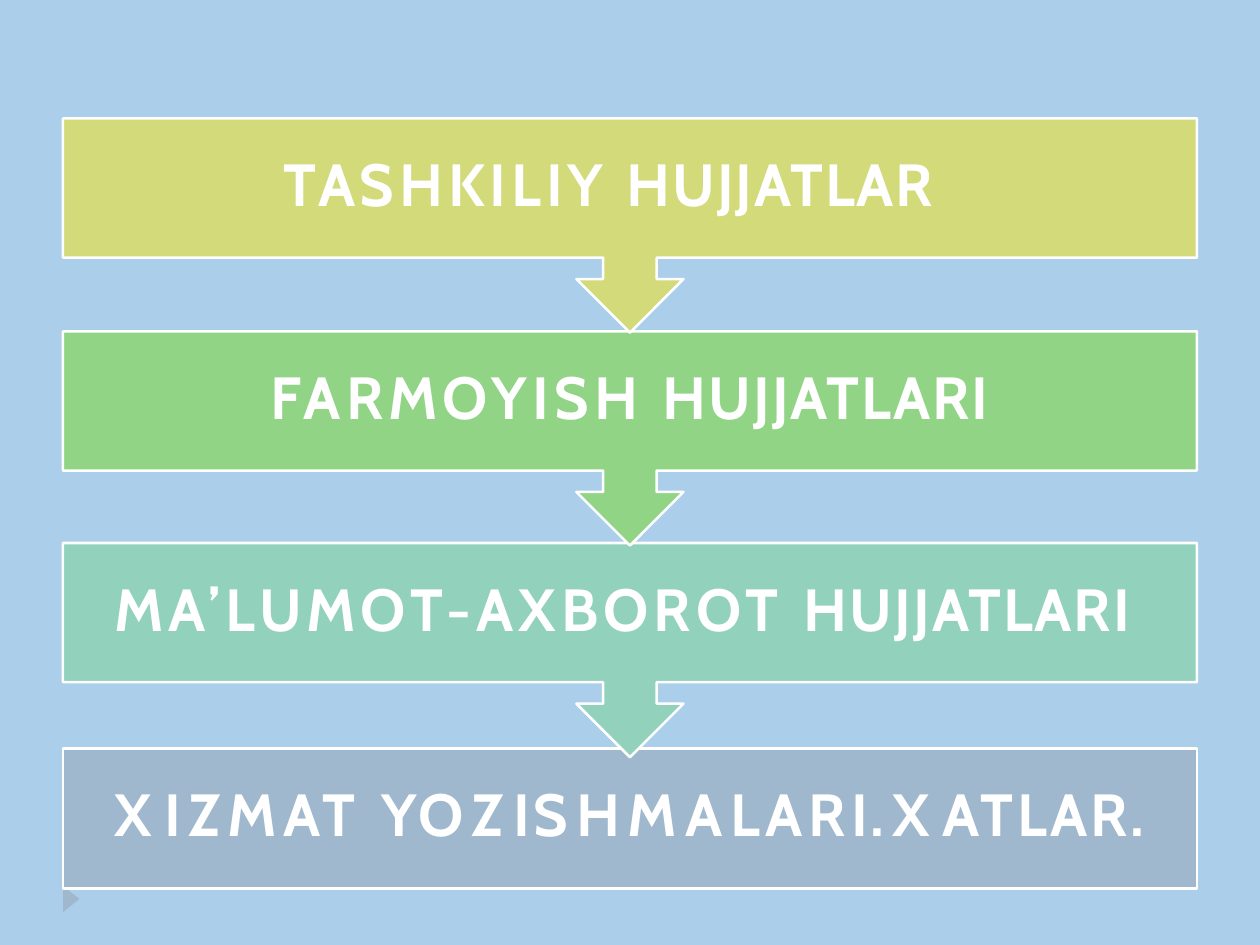
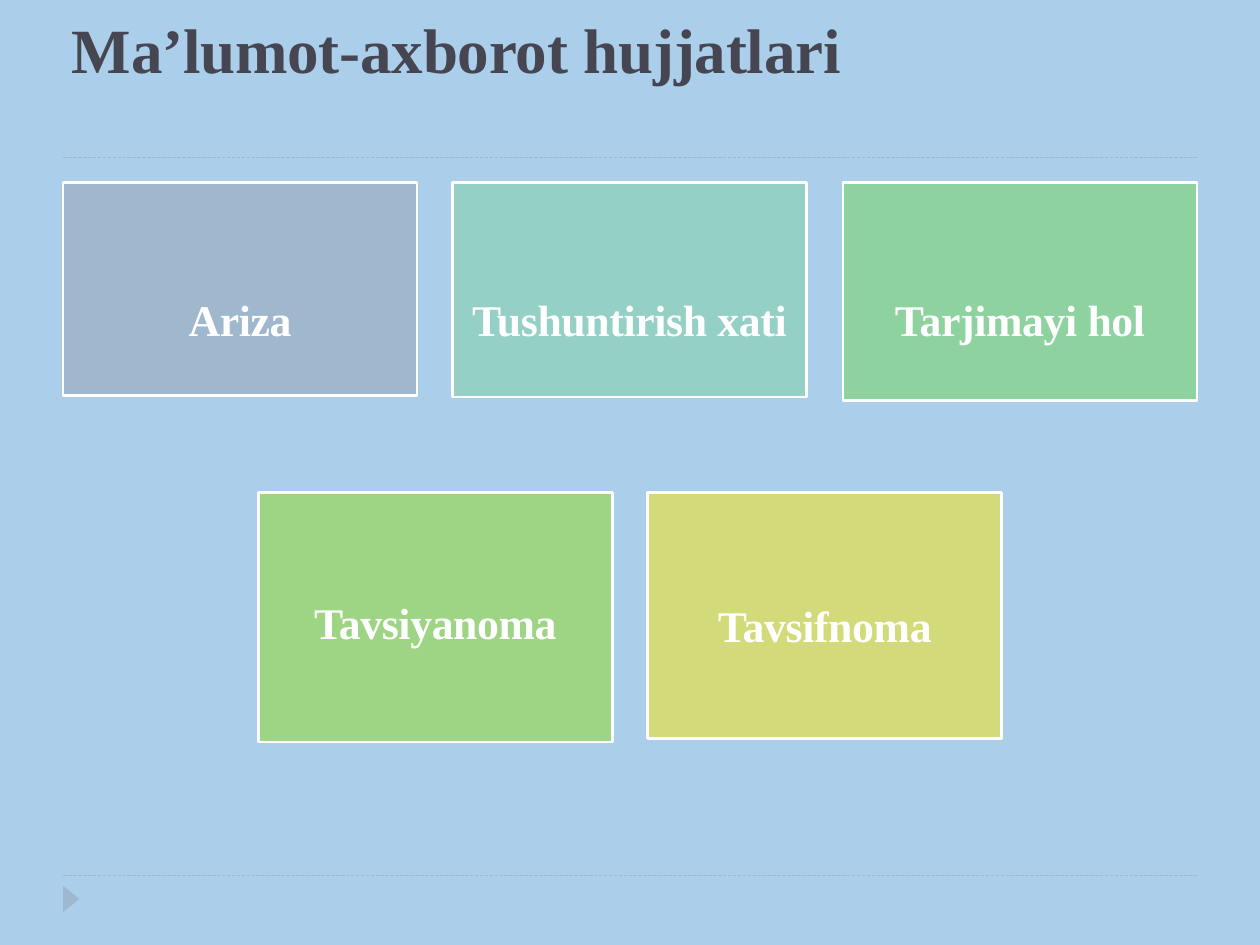
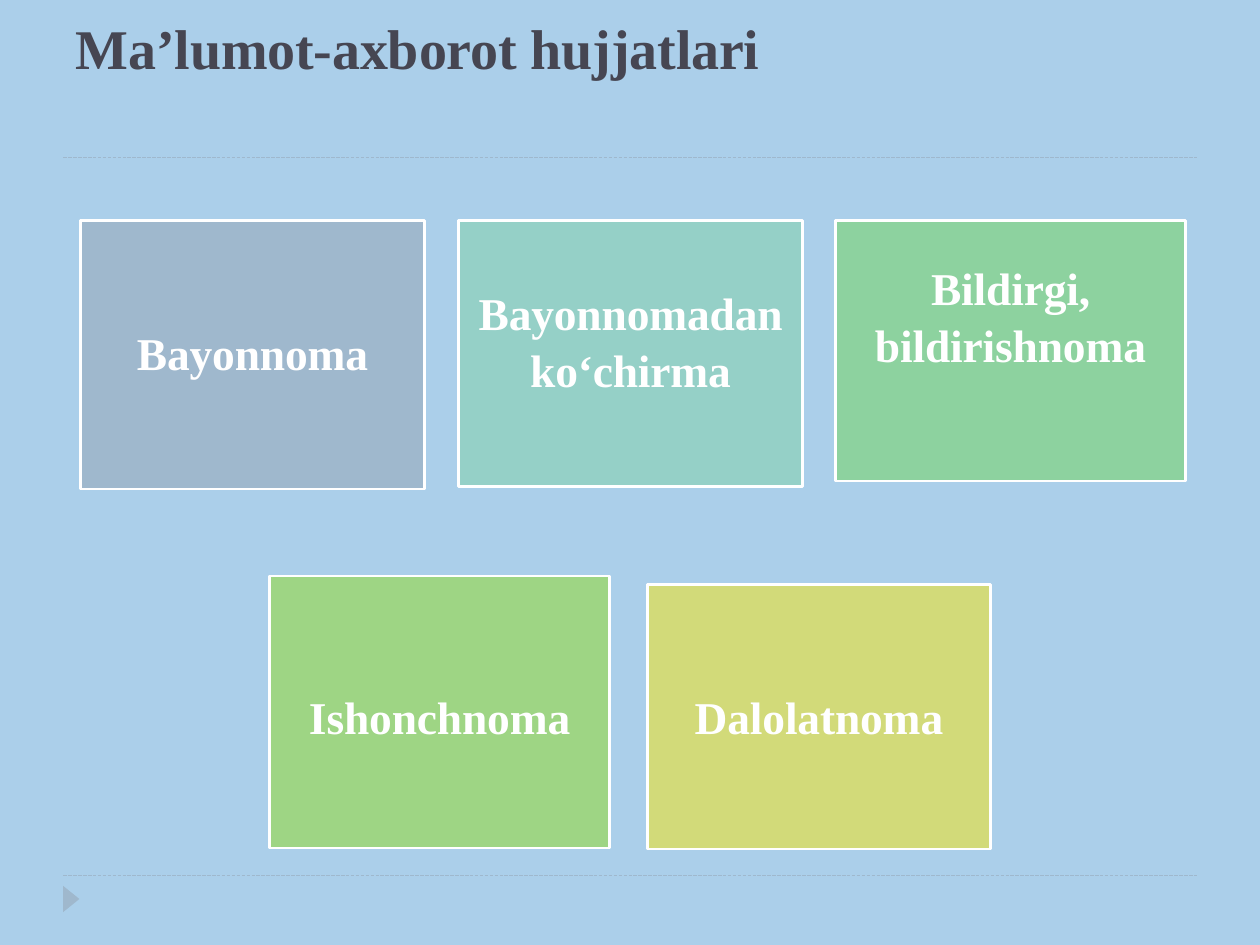
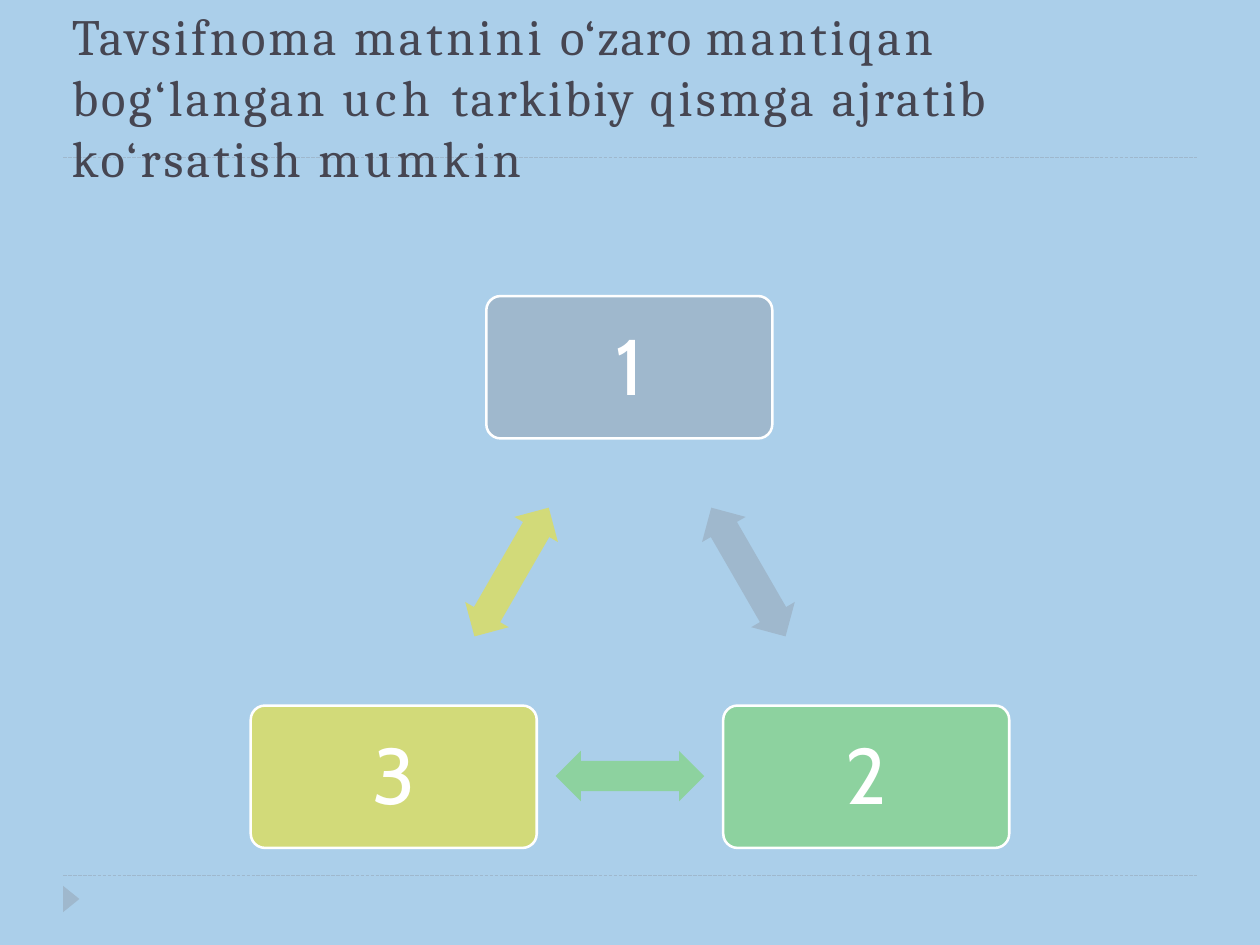
from lxml import etree
from pptx import Presentation
from pptx.dml.color import RGBColor
from pptx.enum.dml import MSO_LINE_DASH_STYLE as Dash
from pptx.enum.shapes import MSO_CONNECTOR_TYPE as Connector, MSO_SHAPE as Shape
from pptx.enum.text import MSO_ANCHOR as Anchor, PP_ALIGN as Align
from pptx.oxml.ns import qn
from pptx.util import Inches, Pt

SKY, INK, WHITE = "ABCFEA", "464652", "FFFFFF"
STEEL, TEAL, MINT, GREEN, LIME = "9FB8CD", "95D0C7", "8DD29F", "9ED584", "D2DA79"
SERIF, SANS, TITLE_SERIF = "Times New Roman", "Cabin", "Cambria"


def add_block(page, kind, at, fill, outlined=True, adjust=()):
    """Add a flat filled shape at (left, top, width, height) in inches."""
    block = page.shapes.add_shape(kind, *[Inches(n) for n in at])
    block.shadow.inherit = False
    block.fill.solid()
    block.fill.fore_color.rgb = RGBColor.from_string(fill)
    if outlined:
        block.line.color.rgb = RGBColor.from_string(WHITE)
        block.line.width = Pt(1.44)
    else:
        block.line.fill.background()
    for number, value in enumerate(adjust):
        block.adjustments[number] = value
    return block


def write(box, runs, font, size, color=WHITE, bold=True, align=Align.CENTER,
          top=0.02, right=0, leading=None):
    """Write (text, letter spacing in points) runs as one top-anchored paragraph."""
    frame = box.text_frame
    frame.word_wrap = True
    frame.vertical_anchor = Anchor.TOP
    frame.margin_left = frame.margin_bottom = 0
    frame.margin_top, frame.margin_right = Inches(top), Inches(right)
    para = frame.paragraphs[0]
    para.alignment = align
    para.line_spacing = leading
    for text, spacing in runs:
        span = para.add_run()
        span.text = text
        span.font.name, span.font.size, span.font.bold = font, Pt(size), bold
        span.font.color.rgb = RGBColor.from_string(color)
        span._r.get_or_add_rPr().set("spc", str(round(spacing * 100)))


deck = Presentation()
deck.slide_width, deck.slide_height = Inches(10), Inches(7.5)
backdrop = deck.slide_master.background.fill
backdrop.solid()
backdrop.fore_color.rgb = RGBColor.from_string(SKY)

# Shared on every slide: two dashed rules and the corner marker
pages = [deck.slides.add_slide(deck.slide_layouts[6]) for _ in range(4)]
for page in pages:
    for y in (6.95, 1.25):
        rule = page.shapes.add_connector(
            Connector.STRAIGHT, Inches(0.5), Inches(y), Inches(9.5), Inches(y))
        rule.line.color.rgb = RGBColor.from_string(STEEL)
        rule.line.width = Pt(0.72)
        rule.line.dash_style = Dash.SQUARE_DOT
        etree.SubElement(rule._element.spPr, qn("a:effectLst"))
    marker = add_block(page, Shape.ISOSCELES_TRIANGLE, (0.46, 7.07, 0.21, 0.13),
                       STEEL, outlined=False)
    marker.rotation = 90
flow_page, first_grid, second_grid, cycle_page = pages

# Titles: page, place, font, size, bold, runs
heading = [("Ma’lumot-axborot hujjatlari", -0.1)]
cycle_heading = [
    ("Tavsifnoma ", 1.7), ("matnini ", 2), ("o‘zaro ", 0.9), ("mantiqan ", 2.1),
    ("bog‘langan ", 1.7), ("uch ", 3), ("tarkibiy ", 1.4), ("qismga ", 1.9),
    ("ajratib ", 1.6), ("ko‘rsatish ", 1.7), ("mumkin", 2.7)]
titles = [
    (first_grid, (0.57, 0.06, 8.31, 0.62), SERIF, 36, True, heading),
    (second_grid, (0.6, 0.09, 8.31, 0.55), SERIF, 32, True, heading),
    (cycle_page, (0.57, 0.02, 7.62, 1.48), TITLE_SERIF, 29, False, cycle_heading)]
for page, place, font, size, bold, runs in titles:
    title = page.shapes.add_textbox(*[Inches(n) for n in place])
    write(title, runs, font, size, INK, bold, Align.LEFT)

# Slide 1: four bands, each arrow lying over the band below it
bands = [
    (0.94, LIME, 0.34, [("TASHKILIY ", 2.8), ("HUJJATLAR", 1.1)]),
    (2.63, "91D486", 0, [("FARMOYISH ", 3), ("HUJJATLARI", 1.2)]),
    (4.31, "92D1BB", 0.12, [("MA’LUMOT-AXBOROT ", 3), ("HUJJATLARI", 1.2)]),
    (5.94, STEEL, 0, [
        ("X", 7.2), ("IZM", 3.8), ("A", 0.9), ("T ", 3.7), ("Y", 0.7), ("OZ", 5.2),
        ("I", 2.1), ("SHM", 4.6), ("A", 4.5), ("LAR", 3.2), ("I", 1.4), (". ", -3.2),
        ("X", 7.2), ("A", 1), ("TLAR.", 1.9)])]
for top, fill, right, runs in reversed(bands):
    if top == bands[-1][0]:
        band = add_block(flow_page, Shape.RECTANGLE, (0.5, top, 9, 1.11), fill)
    else:
        band = add_block(flow_page, Shape.DOWN_ARROW_CALLOUT, (0.5, top, 9, 1.7),
                         fill, adjust=(0.25, 0.25, 0.25, 0.65))
    write(band, runs, SANS, 34, top=0.23, right=right)

# Slides 2 and 3: tiles of three over two, as (place, text inset, text)
tile_fills = [STEEL, TEAL, MINT, GREEN, LIME]
first_tiles = [
    ((0.5, 1.45, 2.81, 1.69), 0.85, "Ariza"),
    ((3.59, 1.45, 2.81, 1.7), 0.85, "Tushuntirish xati"),
    ((6.69, 1.45, 2.81, 1.73), 0.85, "Tarjimayi hol"),
    ((2.05, 3.91, 2.81, 1.98), 0.8, "Tavsiyanoma"),
    ((5.14, 3.91, 2.81, 1.95), 0.82, "Tavsifnoma")]
second_tiles = [
    ((0.64, 1.75, 2.73, 2.13), 0.81, "Bayonnoma"),
    ((3.64, 1.75, 2.73, 2.11), 0.49, "Bayonnomadan ko‘chirma"),
    ((6.63, 1.75, 2.78, 2.07), 0.29, "Bildirgi, bildirishnoma"),
    ((2.14, 4.57, 2.7, 2.16), 0.88, "Ishonchnoma"),
    ((5.14, 4.64, 2.72, 2.1), 0.81, "Dalolatnoma")]
for page, tiles, size, spacing in ((first_grid, first_tiles, 25, -0.2),
                                   (second_grid, second_tiles, 26, -0.1)):
    for fill, (place, inset, text) in zip(tile_fills, tiles):
        tile = add_block(page, Shape.RECTANGLE, place, fill)
        write(tile, [(text, spacing)], SERIF, size, top=inset, leading=1.05)

# Slide 4: a cycle of three numbered parts, each with its arrow centre and turn
parts = [
    ("1", 3.86, 2.35, STEEL, (5.94, 4.54), 60),
    ("2", 5.74, 5.6, MINT, (5, 6.16), 0),
    ("3", 1.99, 5.6, LIME, (4.06, 4.54), 120)]
arrow_width, arrow_height = 1.18, 0.4
for number, left, top, fill, (x, y), turn in parts:
    part = add_block(cycle_page, Shape.ROUNDED_RECTANGLE, (left, top, 2.27, 1.13),
                     fill, adjust=(0.1,))
    write(part, [(number, -1.1)], SANS, 45, bold=False, top=0.13)
    arrow = add_block(
        cycle_page, Shape.LEFT_RIGHT_ARROW,
        (x - arrow_width / 2, y - arrow_height / 2, arrow_width, arrow_height),
        fill, outlined=False, adjust=(0.6, 0.5))
    arrow.rotation = turn

deck.save("out.pptx")
